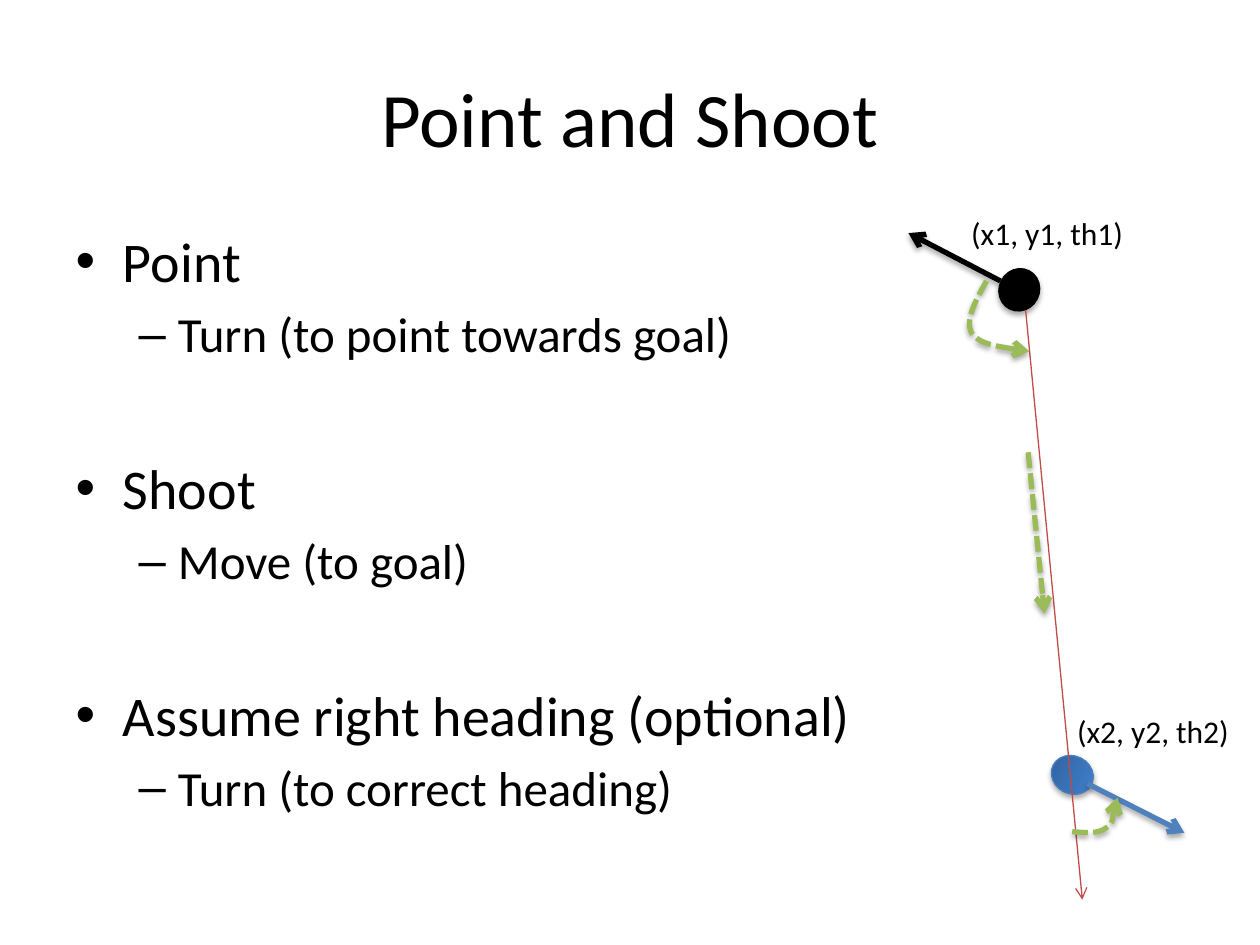
from copy import deepcopy

from lxml import etree
from pptx import Presentation, util as u
from pptx.dml.color import RGBColor
from pptx.enum import dml, shapes, text
from pptx.oxml import ns

BLACK, BLUE, RED, GREEN = "000000", "4F81BD", "BF4C48", "9BBB59"


def rgb(value):
    return RGBColor.from_string(value)


class Board:
    """Style and current slide, with lengths in tenths of an inch (100 columns by 75 rows)."""

    font = "Calibri"

    def __init__(self, prs):
        self.unit = prs.slide_width / 100
        self.s = prs.slides.add_slide(prs.slide_layouts[1])

    def grid(self, *values):
        return [u.Emu(round(v * self.unit)) for v in values]

    def place(self, sp, box):
        for name, v in zip(("left", "top", "width", "height"), self.grid(*box)):
            setattr(sp, name, v)

    def add_words(self, p, words, **look):
        r = p.add_run()
        r.text = words
        for name, v in {"name": self.font, **look}.items():
            setattr(r.font, name, v)
        r.font.color.rgb = rgb(BLACK)

    def title(self, words, box):
        sp = self.s.shapes.title
        self.place(sp, box)
        sp.text_frame.vertical_anchor = text.MSO_ANCHOR.MIDDLE
        p = sp.text_frame.paragraphs[0]
        p.alignment = text.PP_ALIGN.CENTER
        self.add_words(p, words, size=u.Pt(44))

    def body(self, steps, box):
        sp = self.s.placeholders[1]
        self.place(sp, box)
        tf = sp.text_frame
        for i, step in enumerate(steps):
            for level, words in enumerate(step):
                p = tf.add_paragraph() if i or level else tf.paragraphs[0]
                p.level = level
                if i and not level:
                    p.space_before = u.Pt(52)
                self.add_words(p, words, size=u.Pt((32, 28)[level]))

    def label(self, words, left, top):
        sp = self.s.shapes.add_textbox(*self.grid(left, top, 14.4, 4))
        sp.text_frame.word_wrap = False
        sp.text_frame.auto_size = text.MSO_AUTO_SIZE.SHAPE_TO_FIT_TEXT
        self.add_words(sp.text_frame.paragraphs[0], words, size=u.Pt(18))

    def finish(self, sp, color, width, dash=False, arrow=True, shadow=True):
        sp.line.color.rgb = rgb(color)
        sp.line.width = u.Pt(width)
        if dash:
            sp.line.dash_style = dml.MSO_LINE.SQUARE_DOT
        spPr = sp._element.spPr
        if arrow:
            etree.SubElement(spPr.find(ns.qn("a:ln")), ns.qn("a:tailEnd"), type="arrow")
        effects = etree.SubElement(spPr, ns.qn("a:effectLst"))
        if shadow:
            drop = etree.SubElement(effects, ns.qn("a:outerShdw"), blurRad="40000",
                                    dist="23000", dir="5400000", rotWithShape="0")
            tone = etree.SubElement(drop, ns.qn("a:srgbClr"), val=BLACK)
            etree.SubElement(tone, ns.qn("a:alpha"), val="35000")
        return sp

    def arrow(self, start, end, color, width=3, **look):
        sp = self.s.shapes.add_connector(shapes.MSO_CONNECTOR.STRAIGHT,
                                         *self.grid(*start, *end))
        return self.finish(sp, color, width, **look)

    def robot(self, box, turn, line, stops):
        sp = self.s.shapes.add_shape(shapes.MSO_SHAPE.OVAL, *self.grid(*box))
        sp.rotation = turn
        if len(stops) == 1:
            sp.fill.solid()
            sp.fill.fore_color.rgb = rgb(stops[0][1])
        else:
            sp.fill.gradient()
            sp.fill.gradient_angle = 90
            last = sp._element.xpath(".//a:gs")[-1]
            last.addprevious(deepcopy(last))
            for stop, (position, color) in zip(sp.fill.gradient_stops, stops):
                stop.position = position
                stop.color.rgb = rgb(color)
        return self.finish(sp, line, 0.75, arrow=False)

    def curve(self, start, *points):
        pen = self.s.shapes.build_freeform(*self.grid(*start))
        pen.add_line_segments([self.grid(*pt) for pt in points], close=False)
        sp = pen.convert_to_shape()
        segments = sp._element.xpath(".//a:lnTo")
        for i in range(0, len(segments), 3):
            bezier = etree.Element(ns.qn("a:cubicBezTo"))
            segments[i].addprevious(bezier)
            for segment in segments[i:i + 3]:
                bezier.append(segment[0])
                segment.getparent().remove(segment)
        sp.fill.background()
        return self.finish(sp, GREEN, 3, dash=True)

    def group(self, *members):
        self.s.shapes.add_group_shape(members)


prs = Presentation()
prs.slide_width, prs.slide_height = u.Inches(10), u.Inches(7.5)
b = Board(prs)

b.title("Point and Shoot", (5, 3, 90, 12.5))
b.body([("Point", "Turn (to point towards goal)"),
        ("Shoot", "Move (to goal)"),
        ("Assume right heading (optional)", "Turn (to correct heading)")],
       (5, 17.5, 90, 49.5))

b.group(b.arrow((79.4, 22.3), (72.1, 18.5), BLACK),
        b.robot((79.2, 21.4, 3.4, 3.2), 297, BLACK, [(0, BLACK)]))
b.group(b.robot((83.6, 59.8, 3, 3.4), 117, "4B7EBC",
                [(0, "2F5F99"), (0.8, "3D7CC7"), (1, "3A7CCB")]),
        b.arrow((86.3, 62.2), (94, 66.1), BLUE))

b.arrow((81.4, 24.6), (85.9, 71.4), RED, 0.75, shadow=False)
b.arrow((81.6, 35.9), (82.9, 48.7), GREEN, dash=True)
b.curve((78.3, 22.3), (77.4, 23.9), (76.6, 25.4), (77.1, 26.4),
        (77.7, 27.3), (79.7, 27.6), (81.7, 27.9))
b.curve((85.1, 66), (86.1, 66.1), (87.2, 66.2), (87.8, 65.7),
        (88.4, 65.3), (88.5, 63.7), (88.7, 63.3))

b.label("(x1, y1, th1)", 76.1, 16.5)
b.label("(x2, y2, th2)", 84.5, 56)

prs.save("out.pptx")
